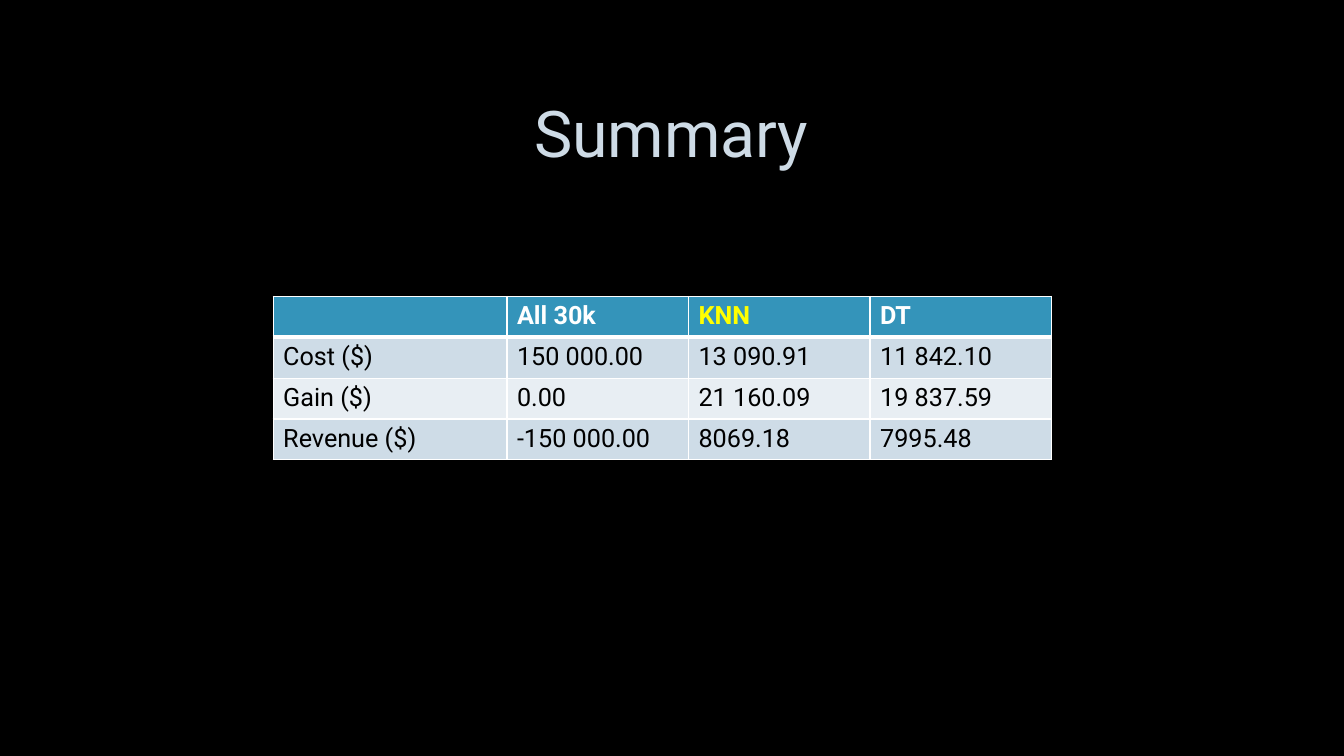
import lxml.etree
import pptx
import pptx.dml.color
import pptx.enum.text
import pptx.oxml.ns
import pptx.util

Pt = pptx.util.Pt
RGBColor = pptx.dml.color.RGBColor

BLACK = RGBColor(0x00, 0x00, 0x00)
WHITE = RGBColor(0xFF, 0xFF, 0xFF)
YELLOW = RGBColor(0xFF, 0xFF, 0x00)
TITLE_BLUE = RGBColor(0xCE, 0xDB, 0xE6)
OUTLINE_GREY = RGBColor(0x40, 0x40, 0x40)
HEADER_BLUE = RGBColor(0x34, 0x94, 0xBA)
BAND_COLORS = (RGBColor(0xCE, 0xDC, 0xE7), RGBColor(0xE8, 0xEE, 0xF3))

FONT = "Roboto"
COLUMN_WIDTHS = (167, 129.7, 129.7, 129.7)
ROW_HEIGHT = 29.2
SUMMARY = (
    ("", "All 30k", "KNN", "DT"),
    ("Cost ($)", "150 000.00", "13 090.91", "11 842.10"),
    ("Gain ($)", "0.00", "21 160.09", "19 837.59"),
    ("Revenue ($)", "-150 000.00", "8069.18", "7995.48"),
)


def add_span(para, text, color, **formats):
    span = para.add_run()
    span.text = text
    span.font.color.rgb = color
    for name, value in {"name": FONT, **formats}.items():
        setattr(span.font, name, value)
    return span


def add_line(parent, tag, width, color):
    """Append a solid line element and return its colour element."""
    qn = pptx.oxml.ns.qn
    line = lxml.etree.SubElement(parent, qn(tag), w=str(Pt(width)))
    fill = lxml.etree.SubElement(line, qn("a:solidFill"))
    return lxml.etree.SubElement(fill, qn("a:srgbClr"), val=str(color))


def add_title(page, text):
    box = page.shapes.add_textbox(Pt(72), Pt(48.2), Pt(815), Pt(99.4))
    frame_format = {
        "word_wrap": True,
        "vertical_anchor": pptx.enum.text.MSO_ANCHOR.MIDDLE,
    }
    for name, value in frame_format.items():
        setattr(box.text_frame, name, value)
    para = box.text_frame.paragraphs[0]
    para.alignment = pptx.enum.text.PP_ALIGN.CENTER
    para.line_spacing = 0.9
    span = add_span(para, text, TITLE_BLUE, size=Pt(46))

    # Faint text outline, placed ahead of the text fill
    properties = span.font._element
    color = add_line(properties, "a:ln", 0.75, OUTLINE_GREY)
    lxml.etree.SubElement(color, pptx.oxml.ns.qn("a:alpha"), val="10000")
    properties.insert(0, properties[-1])


def format_cell(cell, row, text):
    is_header = row == 0
    # Borders: the rule under the header is thicker
    widths = {
        "a:lnL": 1,
        "a:lnR": 1,
        "a:lnT": 3 if row == 1 else 1,
        "a:lnB": 3 if is_header else 1,
    }
    properties = cell._tc.get_or_add_tcPr()
    for tag, width in widths.items():
        add_line(properties, tag, width, WHITE)

    # Banded fill
    cell.fill.solid()
    cell.fill.fore_color.rgb = HEADER_BLUE if is_header else BAND_COLORS[(row - 1) % 2]

    # Text
    if text:
        color = WHITE if is_header else BLACK
        if text == "KNN":
            color = YELLOW
        para = cell.text_frame.paragraphs[0]
        add_span(para, text, color, size=Pt(18), bold=is_header)


def add_summary_table(page, rows):
    frame = page.shapes.add_table(
        len(rows), len(COLUMN_WIDTHS), Pt(195.1), Pt(211.7),
        Pt(sum(COLUMN_WIDTHS)), Pt(ROW_HEIGHT * len(rows)),
    )
    table = frame.table
    for column, width in zip(table.columns, COLUMN_WIDTHS):
        column.width = Pt(width)
    for row, texts in enumerate(rows):
        table.rows[row].height = Pt(ROW_HEIGHT)
        for column, text in enumerate(texts):
            format_cell(table.cell(row, column), row, text)


def main():
    deck = pptx.Presentation()
    deck.slide_width, deck.slide_height = Pt(960), Pt(540)
    page = deck.slides.add_slide(deck.slide_layouts[6])
    page.background.fill.solid()
    page.background.fill.fore_color.rgb = BLACK
    add_title(page, "Summary")
    add_summary_table(page, SUMMARY)
    deck.save("out.pptx")


if __name__ == "__main__":
    main()
